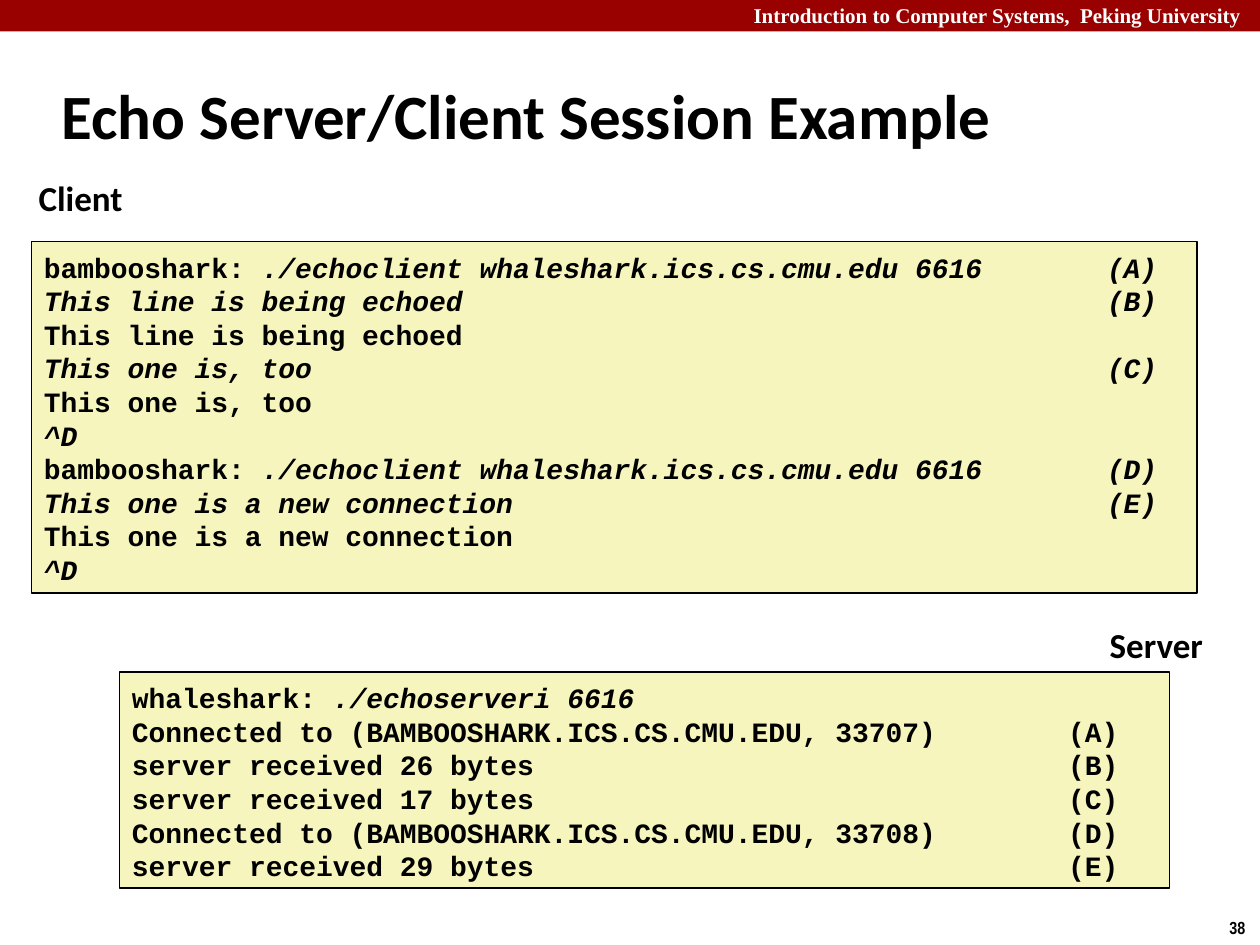
from dataclasses import dataclass

from pptx import Presentation
from pptx.dml.color import RGBColor
from pptx.enum.shapes import MSO_SHAPE
from pptx.enum.text import MSO_ANCHOR, PP_ALIGN
from pptx.oxml import parse_xml
from pptx.oxml.ns import nsdecls
from pptx.slide import Slide
from pptx.util import Pt

COLORS = {"band": "990000", "code": "F6F5BD", "ink": "000000", "paper": "FFFFFF"}


@dataclass
class Label:
    text: str
    left: float
    top: float
    width: float
    height: float
    size: float
    font: str
    color: str = "ink"
    align: PP_ALIGN = PP_ALIGN.LEFT
    wrap: bool = False


@dataclass
class CodeBox:
    left: float
    top: float
    width: float
    height: float
    tab: float
    lines: list  # each line is a list of (text, italic) runs


def color(name: str) -> RGBColor:
    return RGBColor.from_string(COLORS[name])


def format_font(font, size: float, name: str, ink: str = "ink", italic: bool = False) -> None:
    values = {"size": Pt(size), "name": name, "bold": True, "italic": italic}
    for attribute, value in values.items():
        setattr(font, attribute, value)
    font.color.rgb = color(ink)


def place(shape, left: float, top: float, width: float, height: float) -> None:
    values = {"left": left, "top": top, "width": width, "height": height}
    for attribute, value in values.items():
        setattr(shape, attribute, Pt(value))


def add_rectangle(slide: Slide, left: float, top: float, width: float, height: float, fill: str):
    shape = slide.shapes.add_shape(MSO_SHAPE.RECTANGLE, Pt(left), Pt(top), Pt(width), Pt(height))
    shape.shadow.inherit = False
    shape.fill.solid()
    shape.fill.fore_color.rgb = color(fill)
    return shape


def add_label(slide: Slide, label: Label) -> None:
    box = slide.shapes.add_textbox(Pt(label.left), Pt(label.top), Pt(label.width), Pt(label.height))
    box.text_frame.word_wrap = label.wrap
    paragraph = box.text_frame.paragraphs[0]
    paragraph.alignment = label.align
    run = paragraph.add_run()
    run.text = label.text
    format_font(run.font, label.size, label.font, label.color)


def add_code(slide: Slide, code: CodeBox) -> None:
    shape = add_rectangle(slide, code.left, code.top, code.width, code.height, "code")
    shape.line.color.rgb = color("ink")
    shape.line.width = Pt(1)
    frame = shape.text_frame
    frame.vertical_anchor = MSO_ANCHOR.TOP
    frame.margin_top = Pt(5)
    for index, line in enumerate(code.lines):
        paragraph = frame.paragraphs[0] if index == 0 else frame.add_paragraph()
        paragraph.alignment = PP_ALIGN.LEFT
        paragraph.line_spacing = Pt(19.2)
        paragraph._p.get_or_add_pPr().append(parse_xml(
            f'<a:tabLst {nsdecls("a")}><a:tab pos="{Pt(code.tab)}" algn="l"/></a:tabLst>'))
        for text, italic in line:
            run = paragraph.add_run()
            run.text = text
            format_font(run.font, 16, "Courier New", italic=italic)


def typed(text: str) -> list:
    return [(text, True)]


def printed(text: str) -> list:
    return [(text, False)]


def command(prompt: str, text: str) -> list:
    return printed(prompt) + typed(text)


CONNECT = "./echoclient whaleshark.ics.cs.cmu.edu 6616"
CLIENT = CodeBox(18, 138, 666, 201, 607.5, [
    command("bambooshark: ", f"{CONNECT}\t(A)"),
    typed("This line is being echoed\t(B)"),
    printed("This line is being echoed"),
    typed("This one is, too\t(C)"),
    printed("This one is, too"),
    typed("^D"),
    command("bambooshark: ", f"{CONNECT}\t(D)"),
    typed("This one is a new connection\t(E)"),
    printed("This one is a new connection"),
    typed("^D"),
])
SERVER = CodeBox(68.25, 384, 600, 123.6, 535, [
    command("whaleshark: ", "./echoserveri 6616"),
    printed("Connected to (BAMBOOSHARK.ICS.CS.CMU.EDU, 33707)\t(A)"),
    printed("server received 26 bytes\t(B)"),
    printed("server received 17 bytes\t(C)"),
    printed("Connected to (BAMBOOSHARK.ICS.CS.CMU.EDU, 33708)\t(D)"),
    printed("server received 29 bytes\t(E)"),
])
LABELS = [
    Label("Introduction to Computer Systems,  Peking University ", 342, -2, 377.25, 21.6,
          12, "Times New Roman", "paper", PP_ALIGN.RIGHT, True),
    Label("38", 695.5, 520.5, 24.5, 19.5, 10, "Arial Narrow"),
    Label("Client", 15, 97.5, 63.5, 31.5, 20, "Calibri"),
    Label("Server", 627, 353, 68.5, 31.5, 20, "Calibri"),
]


def main() -> None:
    presentation = Presentation()
    presentation.slide_width, presentation.slide_height = Pt(720), Pt(540)
    slide = presentation.slides.add_slide(presentation.slide_layouts[5])

    # Title
    title = slide.shapes.title
    place(title, 28, 35.5, 597.5, 60)
    title.text_frame.text = "Echo Server/Client Session Example"
    title.text_frame.vertical_anchor = MSO_ANCHOR.MIDDLE
    paragraph = title.text_frame.paragraphs[0]
    paragraph.alignment = PP_ALIGN.LEFT
    format_font(paragraph.runs[0].font, 36, "Calibri")

    # Header band
    band = add_rectangle(slide, 0, 0, 720, 18, "band")
    band.line.fill.background()

    # Session transcripts
    for code in (SERVER, CLIENT):
        add_code(slide, code)

    # Header, page number and captions
    for label in LABELS:
        add_label(slide, label)

    presentation.save("out.pptx")


if __name__ == "__main__":
    main()
